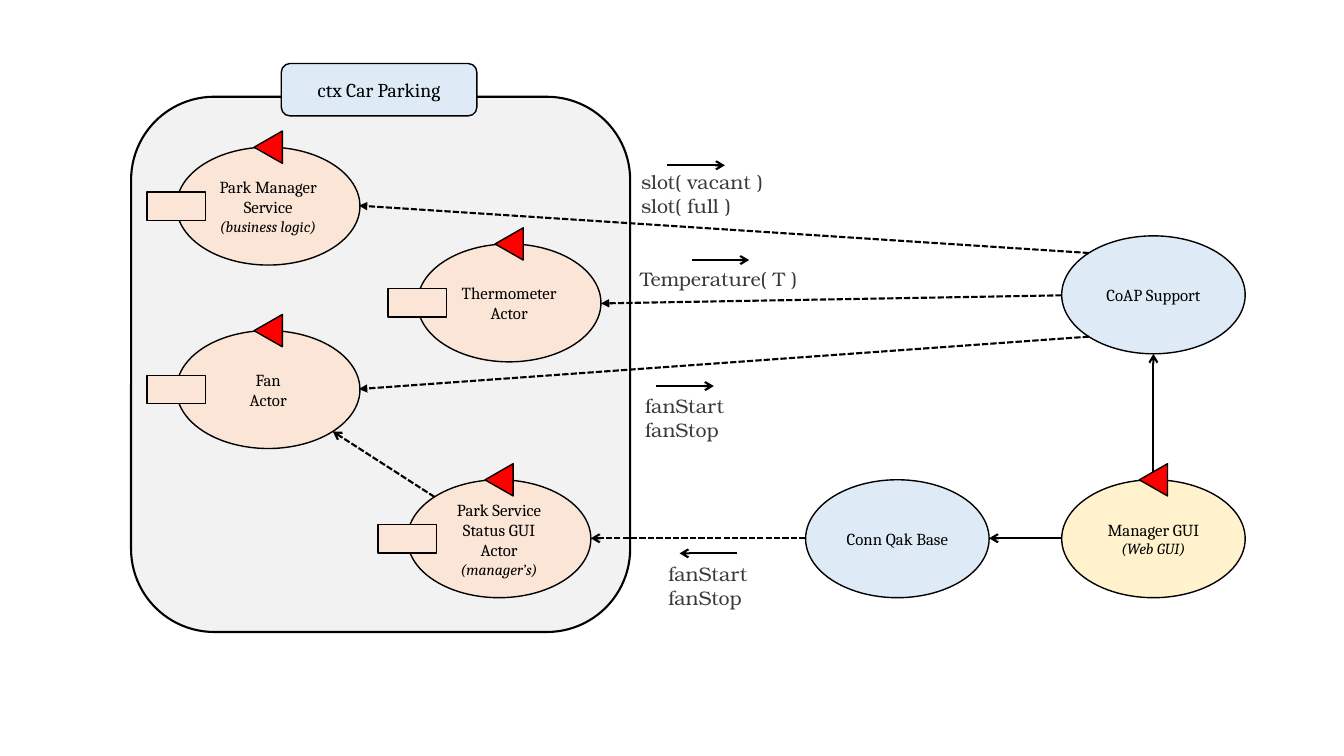
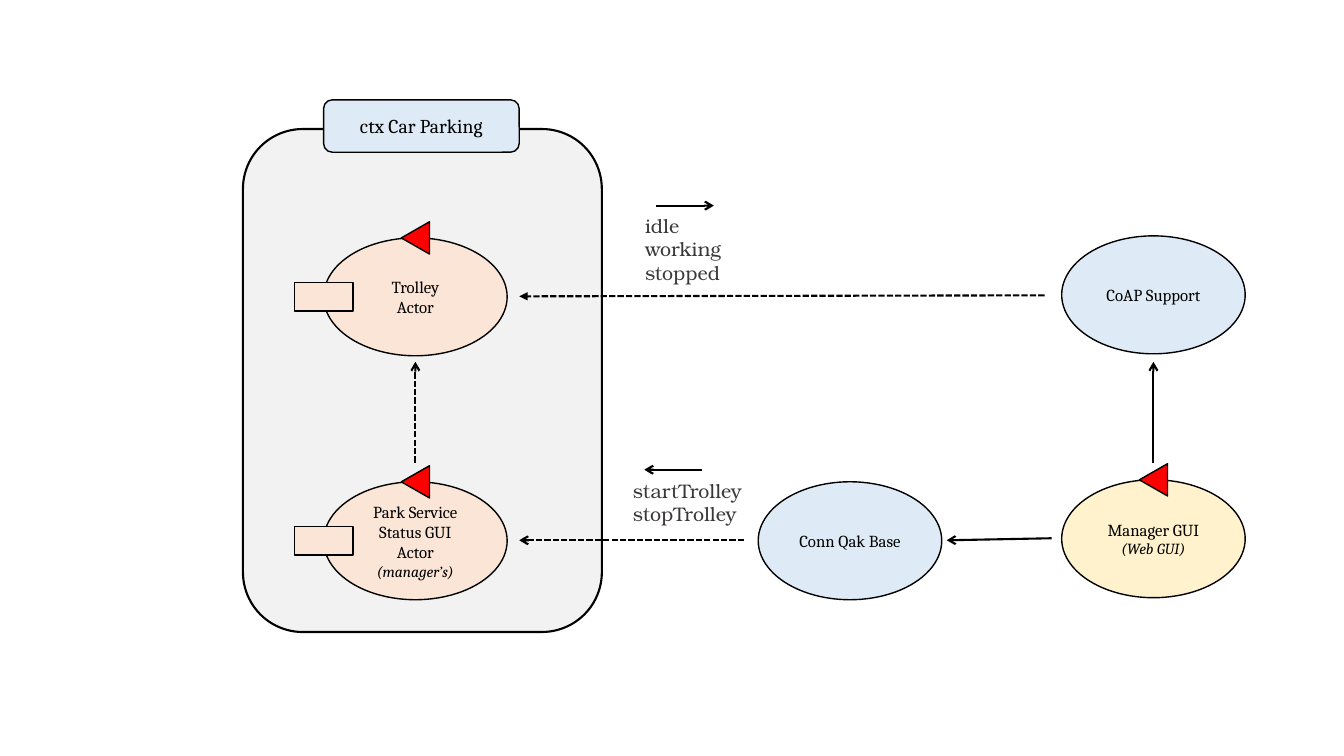
from dataclasses import dataclass

from lxml.etree import SubElement
from pptx import Presentation
from pptx.dml.color import RGBColor
from pptx.enum.dml import MSO_LINE
from pptx.enum.shapes import MSO_CONNECTOR, MSO_SHAPE as Preset
from pptx.enum.text import MSO_ANCHOR, MSO_AUTO_SIZE, PP_ALIGN
from pptx.oxml.ns import qn
from pptx.util import Inches, Pt

COLORS = {
    "ink": "000000",
    "message": "3B3838",
    "context": "F2F2F2",
    "actor": "FBE5D6",
    "support": "DEEBF7",
    "web": "FFF2CC",
    "marker": "FF0000",
}
NODE_FONT, MESSAGE_FONT = "Cambria", "TeX Gyre Bonum"
NODE_W, NODE_H = 1.82, 1.17
LABEL_W, LABEL_H = 1.94, 0.52
MARKER_W, MARKER_H = 0.32, 0.28
PORT_W, PORT_H = 0.58, 0.28
SIGNAL_LENGTH = 0.57
MESSAGE_LINE, MESSAGE_PADDING = 0.235, 0.1


@dataclass(frozen=True)
class Context:
    left: float
    top: float
    width: float
    height: float
    label_left: float
    label_top: float


@dataclass(frozen=True)
class Node:
    left: float
    top: float
    lines: tuple[str, ...]
    role: str = "actor"
    note: str = ""


@dataclass(frozen=True)
class Link:
    start: tuple[float, float]
    end: tuple[float, float]
    dashed: bool = False
    head: str = "arrow"


@dataclass(frozen=True)
class Signal:
    """A short arrow with the messages it carries written below."""
    start: tuple[float, float]
    text_left: float
    text_top: float
    text_width: float
    messages: tuple[str, ...]
    direction: int = 1


@dataclass(frozen=True)
class Diagram:
    context: Context
    nodes: tuple[Node, ...]
    links: tuple[Link, ...]
    signals: tuple[Signal, ...]


MANAGER_GUI = Node(10.53, 4.76, ("Manager GUI",), "web", "(Web GUI)")
COAP_SUPPORT = Node(10.53, 2.34, ("CoAP Support",), "support")


def status_gui(left: float, top: float) -> Node:
    return Node(left, top, ("Park Service Status GUI Actor",), note="(manager’s)")


def conn_base(left: float, top: float) -> Node:
    return Node(left, top, ("Conn Qak Base",), "support")


DIAGRAMS = (
    Diagram(
        Context(1.3, 0.96, 4.95, 5.31, 2.79, 0.63),
        (
            Node(1.75, 1.46, ("Park Manager Service",), note="(business logic)"),
            Node(1.75, 3.28, ("Fan", "Actor")),
            Node(4.14, 2.42, ("Thermometer", "Actor")),
            status_gui(4.04, 4.76),
            conn_base(7.99, 4.76),
            MANAGER_GUI,
            COAP_SUPPORT,
        ),
        (
            Link((11.44, 4.68), (11.44, 3.51)),
            Link((10.53, 5.34), (9.81, 5.34)),
            Link((7.99, 5.34), (5.86, 5.34), True),
            Link((10.8, 2.51), (3.56, 2.04), True, "triangle"),
            Link((10.53, 2.93), (5.96, 3.01), True, "triangle"),
            Link((10.8, 3.34), (3.56, 3.86), True, "triangle"),
            Link((4.31, 4.93), (3.3, 4.28), True),
        ),
        (
            Signal((6.62, 1.64), 6.26, 1.64, 1.43, ("slot( vacant )", "slot( full )")),
            Signal((6.86, 2.58), 6.25, 2.6, 1.79, ("Temperature( T )",)),
            Signal((6.51, 3.83), 6.3, 3.86, 0.99, ("fanStart", "fanStop")),
            Signal((7.31, 5.49), 6.53, 5.53, 0.99, ("fanStart", "fanStop"), -1),
        ),
    ),
    Diagram(
        Context(2.41, 1.28, 3.56, 4.99, 3.21, 0.99),
        (
            Node(3.21, 2.36, ("Trolley", "Actor")),
            status_gui(3.21, 4.78),
            conn_base(7.52, 4.78),
            MANAGER_GUI,
            COAP_SUPPORT,
        ),
        (
            Link((11.44, 4.59), (11.44, 3.59)),
            Link((10.43, 5.34), (9.39, 5.36)),
            Link((7.38, 5.36), (5.15, 5.36), True),
            Link((10.36, 2.93), (5.15, 2.94), True, "triangle"),
            Link((4.12, 4.59), (4.12, 3.59), True),
        ),
        (
            Signal((6.51, 2.04), 6.3, 2.07, 0.97, ("idle", "working", "stopped")),
            Signal((6.96, 4.66), 6.18, 4.7, 1.3, ("startTrolley", "stopTrolley"), -1),
        ),
    ),
)


def color(name: str) -> RGBColor:
    return RGBColor.from_string(COLORS[name])


def add_outlined(shapes, preset, left: float, top: float, width: float,
                 height: float, fill: str, weight: float = 1):
    outlined = shapes.add_shape(
        preset, Inches(left), Inches(top), Inches(width), Inches(height))
    outlined.shadow.inherit = False
    outlined.fill.solid()
    outlined.fill.fore_color.rgb = color(fill)
    outlined.line.color.rgb = color("ink")
    outlined.line.width = Pt(weight)
    return outlined


def write(frame, lines: tuple[str, ...], size: float, font: str, ink: str,
          align: PP_ALIGN) -> None:
    frame.text = "\n".join(lines)
    for paragraph in frame.paragraphs:
        paragraph.alignment = align
        for run in paragraph.runs:
            run.font.size = Pt(size)
            run.font.name = font
            run.font.color.rgb = color(ink)


def write_centered(frame, lines: tuple[str, ...], size: float) -> None:
    frame.word_wrap = True
    frame.vertical_anchor = MSO_ANCHOR.MIDDLE
    write(frame, lines, size, NODE_FONT, "ink", PP_ALIGN.CENTER)


def draw_context(shapes, context: Context) -> None:
    add_outlined(shapes, Preset.ROUNDED_RECTANGLE, context.left, context.top,
                 context.width, context.height, "context", 1.5)
    label = add_outlined(shapes, Preset.ROUNDED_RECTANGLE, context.label_left,
                         context.label_top, LABEL_W, LABEL_H, "support")
    write_centered(label.text_frame, ("ctx Car Parking",), 14)


def draw_node(shapes, node: Node) -> None:
    """Support nodes are plain; others get a marker, and actors a port too."""
    parts = shapes if node.role == "support" else shapes.add_group_shape().shapes
    body = add_outlined(parts, Preset.OVAL, node.left, node.top,
                        NODE_W, NODE_H, node.role)
    lines = node.lines + ((node.note,) if node.note else ())
    write_centered(body.text_frame, lines, 12)
    if node.note:
        note_font = body.text_frame.paragraphs[-1].runs[0].font
        note_font.size = Pt(11)
        note_font.italic = True
    if node.role != "support":
        marker = add_outlined(parts, Preset.ISOSCELES_TRIANGLE,
                              node.left + (NODE_W - MARKER_W) / 2,
                              node.top - MARKER_H / 2, MARKER_W, MARKER_H, "marker")
        marker.rotation = 270
    if node.role == "actor":
        add_outlined(parts, Preset.RECTANGLE, node.left - PORT_W / 2,
                     node.top + (NODE_H - PORT_H) / 2, PORT_W, PORT_H, "actor")


def draw_link(shapes, link: Link) -> None:
    arrow = shapes.add_connector(
        MSO_CONNECTOR.STRAIGHT, *(Inches(v) for v in link.start + link.end))
    arrow.line.color.rgb = color("ink")
    arrow.line.width = Pt(1.5)
    if link.dashed:
        arrow.line.dash_style = MSO_LINE.SQUARE_DOT
    properties = arrow._element.spPr
    SubElement(properties.find(qn("a:ln")), qn("a:tailEnd"), type=link.head)
    SubElement(properties, qn("a:effectLst"))


def draw_signal(shapes, signal: Signal) -> None:
    x, y = signal.start
    draw_link(shapes, Link(signal.start, (x + signal.direction * SIGNAL_LENGTH, y)))
    height = len(signal.messages) * MESSAGE_LINE + MESSAGE_PADDING
    caption = shapes.add_textbox(
        Inches(signal.text_left), Inches(signal.text_top),
        Inches(signal.text_width), Inches(height)).text_frame
    caption.word_wrap = False
    caption.auto_size = MSO_AUTO_SIZE.SHAPE_TO_FIT_TEXT
    write(caption, signal.messages, 14, MESSAGE_FONT, "message", PP_ALIGN.LEFT)


def main() -> None:
    deck = Presentation()
    deck.slide_width, deck.slide_height = Inches(13.33), Inches(7.5)
    blank = deck.slide_layouts[6]
    for diagram in DIAGRAMS:
        shapes = deck.slides.add_slide(blank).shapes
        draw_context(shapes, diagram.context)
        for node in diagram.nodes:
            draw_node(shapes, node)
        for link in diagram.links:
            draw_link(shapes, link)
        for signal in diagram.signals:
            draw_signal(shapes, signal)
    deck.save("out.pptx")


if __name__ == "__main__":
    main()
